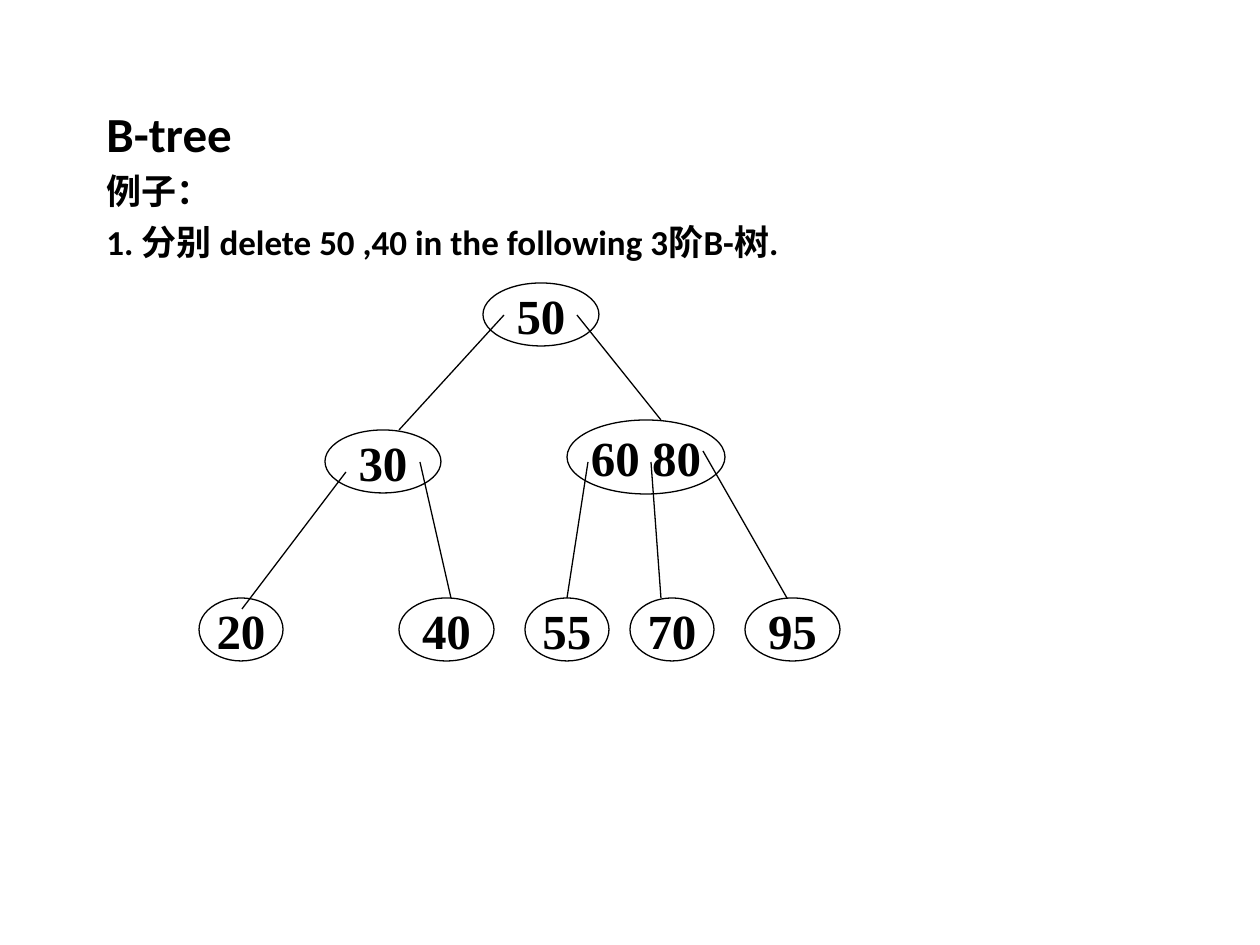
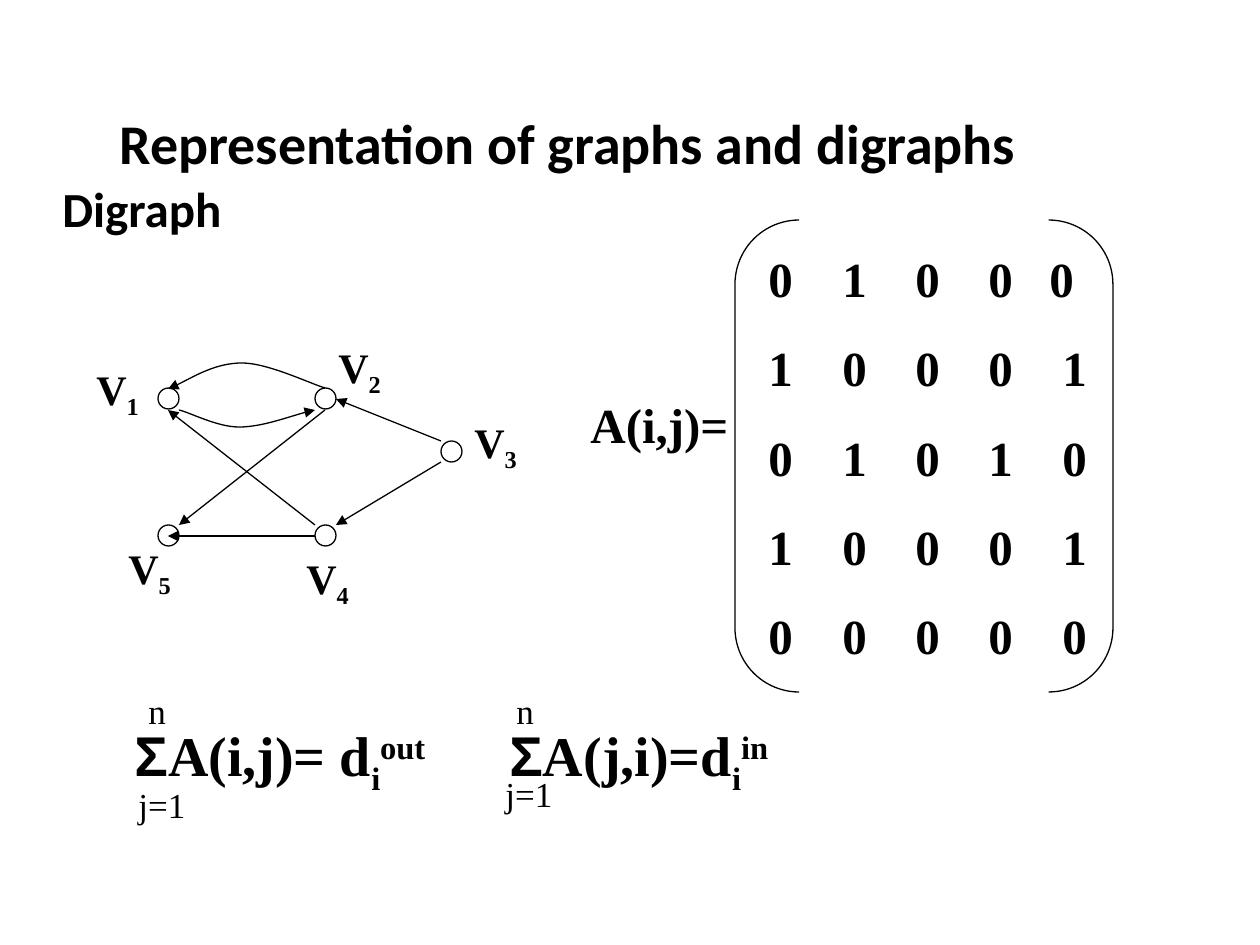
from lxml import etree
from pptx import Presentation, util as u
from pptx.dml.color import RGBColor
from pptx.enum import shapes as sh, text as tx
from pptx.oxml.ns import qn

INK = RGBColor(0, 0, 0)
SANS, SERIF, SIGMA = "Calibri", "Times New Roman", "Arial"
SCALE = 914400 / 126
SUB, SUP = -25000, 30000


def px(n):
    return u.Emu(round(n * SCALE))


# Shared parts
def write(frame, paras, size, font=SERIF, bold=True, gap=0, line=None, align=None):
    """Fill a frame; a paragraph is a string or a list of (text, baseline, font)."""
    for i, runs in enumerate(paras):
        p = frame.paragraphs[0] if i == 0 else frame.add_paragraph()
        p.font.size, p.font.name, p.font.bold = u.Pt(size), font, bold
        p.font.color.rgb = INK
        p.space_before, p.line_spacing, p.alignment = u.Pt(gap), line, align
        for words, base, face in [(runs, 0, None)] if isinstance(runs, str) else runs:
            run = p.add_run()
            run.text = words
            if base:
                run.font._element.set("baseline", str(base))
            if face:
                run.font.name = face


def label(parts, box, paras, size, anchor=tx.MSO_ANCHOR.TOP, **style):
    frame = parts.add_textbox(*map(px, box)).text_frame
    frame.word_wrap = True
    frame.vertical_anchor = anchor
    write(frame, paras, size, **style)
    return frame


def heading(slide, box, words, size):
    label(slide.shapes, box, [words], size, tx.MSO_ANCHOR.MIDDLE, font=SANS, line=0.9)


def body(slide, box, paras, size):
    label(slide.shapes, box, paras, size, font=SANS, gap=7.5, line=0.9)


def stops(p, places):
    tabs = etree.Element(qn("a:tabLst"))
    for x in places:
        etree.SubElement(tabs, qn("a:tab"), pos=str(px(x)), algn="l")
    p._p.pPr.find(qn("a:defRPr")).addprevious(tabs)


def stroke(part, arrow=False):
    part.line.color.rgb = INK
    part.line.width = u.Pt(0.74)
    if arrow:
        etree.SubElement(part.line._ln, qn("a:tailEnd"), type="triangle")


def outline(parts, kind, box):
    shape = parts.add_shape(kind, *map(px, box))
    shape.shadow.inherit = False
    shape.fill.background()
    stroke(shape)
    return shape


def link(parts, x, y, ends, arrow=False):
    a, b, c, d = ends
    line = parts.add_connector(sh.MSO_CONNECTOR.STRAIGHT,
                               px(x + a), px(y + b), px(x + c), px(y + d))
    stroke(line, arrow)
    etree.SubElement(line._element.spPr, qn("a:effectLst"))


def curve(parts, x, y, points):
    """Draw an arrow of cubic pieces: a start, then three points for each piece."""
    start, *rest = [(x + a, y + b) for a, b in points]
    build = parts.build_freeform(*start, scale=SCALE)
    build.add_line_segments(rest, close=False)
    shape = build.convert_to_shape()
    shape.shadow.inherit = False
    shape.fill.background()
    stroke(shape, True)
    path = shape._element.find(".//" + qn("a:path"))
    steps = path.findall(qn("a:lnTo"))
    for i in range(0, len(steps), 3):
        bend = etree.SubElement(path, qn("a:cubicBezTo"))
        for step in steps[i:i + 3]:
            bend.append(step[0])
            path.remove(step)


# Regions
def tree(slide, x, y):
    parts = slide.shapes.add_group_shape().shapes
    nodes = [("50", 284, 0, 116, 63), ("30", 126, 147, 116, 63),
             ("60 80", 368, 137, 158, 74)]
    leaves = [("20", 0, 84), ("40", 200, 95), ("55", 326, 84),
              ("70", 431, 84), ("95", 546, 95)]
    nodes += [(key, a, 315, w, 63) for key, a, w in leaves]
    for key, a, b, w, h in nodes:
        frame = outline(parts, sh.MSO_SHAPE.OVAL, (x + a, y + b, w, h)).text_frame
        frame.word_wrap = False
        frame.vertical_anchor = tx.MSO_ANCHOR.MIDDLE
        write(frame, [key], 28, gap=7, align=tx.PP_ALIGN.CENTER)
    for ends in [(305, 32, 200, 147), (378, 32, 462, 137), (147, 189, 43, 326),
                 (221, 179, 252, 315), (389, 179, 368, 315),
                 (452, 179, 462, 315), (504, 168, 588, 315)]:
        link(parts, x, y, ends)


def digraph(slide, x, y):
    parts = slide.shapes.add_group_shape().shapes
    # Vertices with the corner of each name
    spots = [(74, 53, 0, 22), (231, 53, 242, 0), (357, 106, 378, 75),
             (231, 190, 210, 211), (74, 190, 32, 201)]
    for i, (a, b, left, top) in enumerate(spots, 1):
        outline(parts, sh.MSO_SHAPE.OVAL, (x + a, y + b, 21, 21))
        label(parts, (x + left, y + top, 84, 70),
              [[("V", 0, None), (str(i), SUB, None)]], 24, gap=15)
    # Edges
    curve(parts, x, y, [(95, 75), (105, 77), (133, 92), (155, 92),
                        (178, 92), (215, 78), (231, 75)])
    curve(parts, x, y, [(241, 53), (227, 49), (184, 28), (158, 28),
                        (131, 28), (99, 48), (84, 54)])
    for ends in [(241, 75, 95, 190), (231, 190, 84, 75), (231, 201, 84, 201),
                 (357, 106, 252, 64), (357, 127, 252, 190)]:
        link(parts, x, y, ends, True)


def matrix(slide, x, y):
    parts = slide.shapes.add_group_shape().shapes
    label(parts, (x, y + 168, 210, 72), ["A(i,j)="], 28, gap=17.5)
    pair = outline(parts, sh.MSO_SHAPE.DOUBLE_BRACKET, (x + 157, y, 378, 472))
    pair.adjustments[0] = 0.17
    rows = ["01000", "10001", "01010", "10001", "00000"]
    frame = label(parts, (x + 178, y + 22, 388, 430),
                  ["\t".join(row) for row in rows], 28, gap=17.5)
    for i, p in enumerate(frame.paragraphs):
        stops(p, [74, 147, 220, 294 if i else 281])


def sums(slide, x, y):
    parts = slide.shapes
    runs = []
    for term, power in [("A(i,j)= d", "out"), ("A(j,i)=d", "in")]:
        runs += [("\t", 0, None), ("Σ", 0, SIGMA), (term, 0, None),
                 ("i", SUB, None), (power, SUP, None)]
    frame = label(parts, (x, y + 31, 1134, 90), [runs], 32, gap=17.5)
    stops(frame.paragraphs[0], [49, 424])
    # Limits of both sums
    for words, a, b, w in [("j=1", 53, 94, 95), ("n", 63, 0, 53),
                           ("n", 431, 0, 53), ("j=1", 420, 83, 95)]:
        label(parts, (x + a, y + b, w, 54), [words], 20, bold=False, gap=12.5)


show = Presentation()
show.slide_width, show.slide_height = px(1260), px(945)
blank = show.slide_layouts[6]

# B-tree
page = show.slides.add_slide(blank)
heading(page, (94, 84, 1071, 105), "B-tree", 28)
body(page, (94, 168, 1071, 672),
     ["例子：", "1. 分别 delete 50 ,40 in the following 3阶B-树."], 20)
tree(page, 199, 283)

# Digraph and its matrix
page = show.slides.add_slide(blank)
heading(page, (107, 94, 1058, 105), "Representation of graphs and digraphs", 32)
body(page, (50, 179, 1157, 693), ["Digraph"], 28)
digraph(page, 84, 335)
matrix(page, 578, 220)
sums(page, 73, 683)

show.save("out.pptx")
